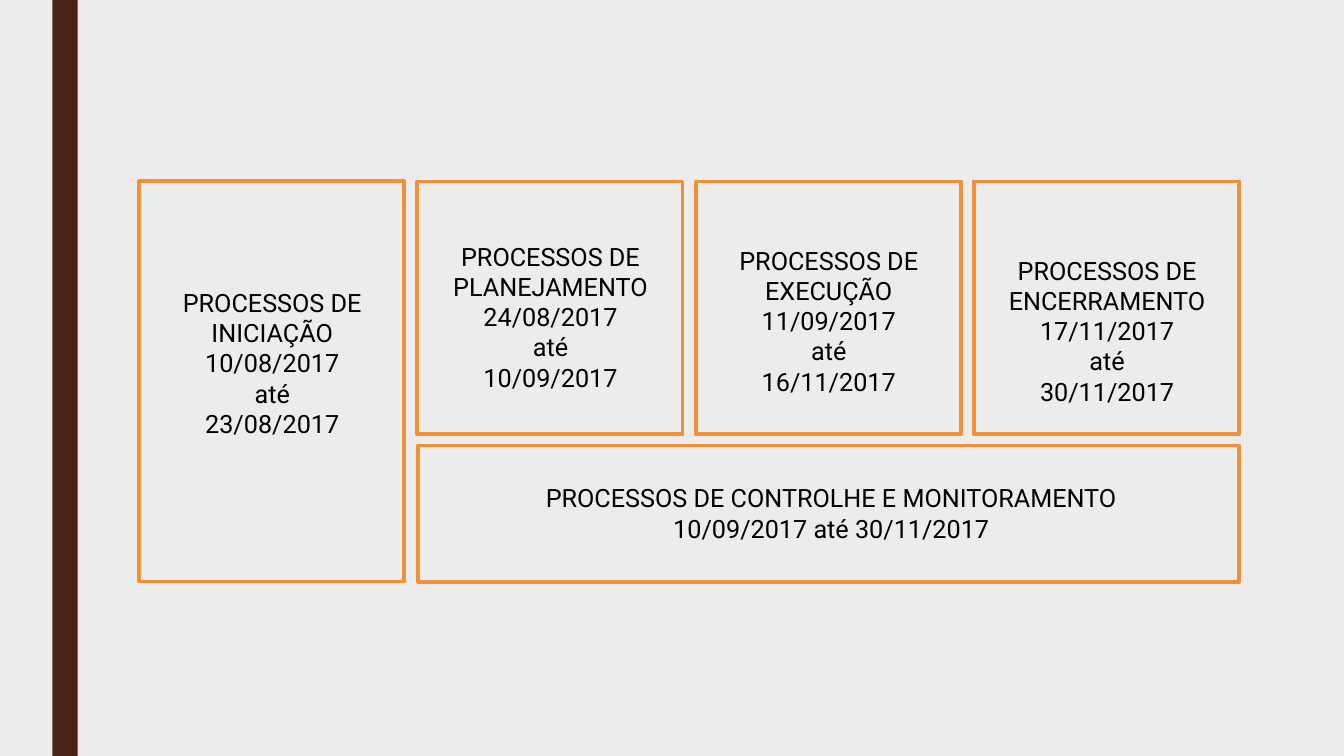
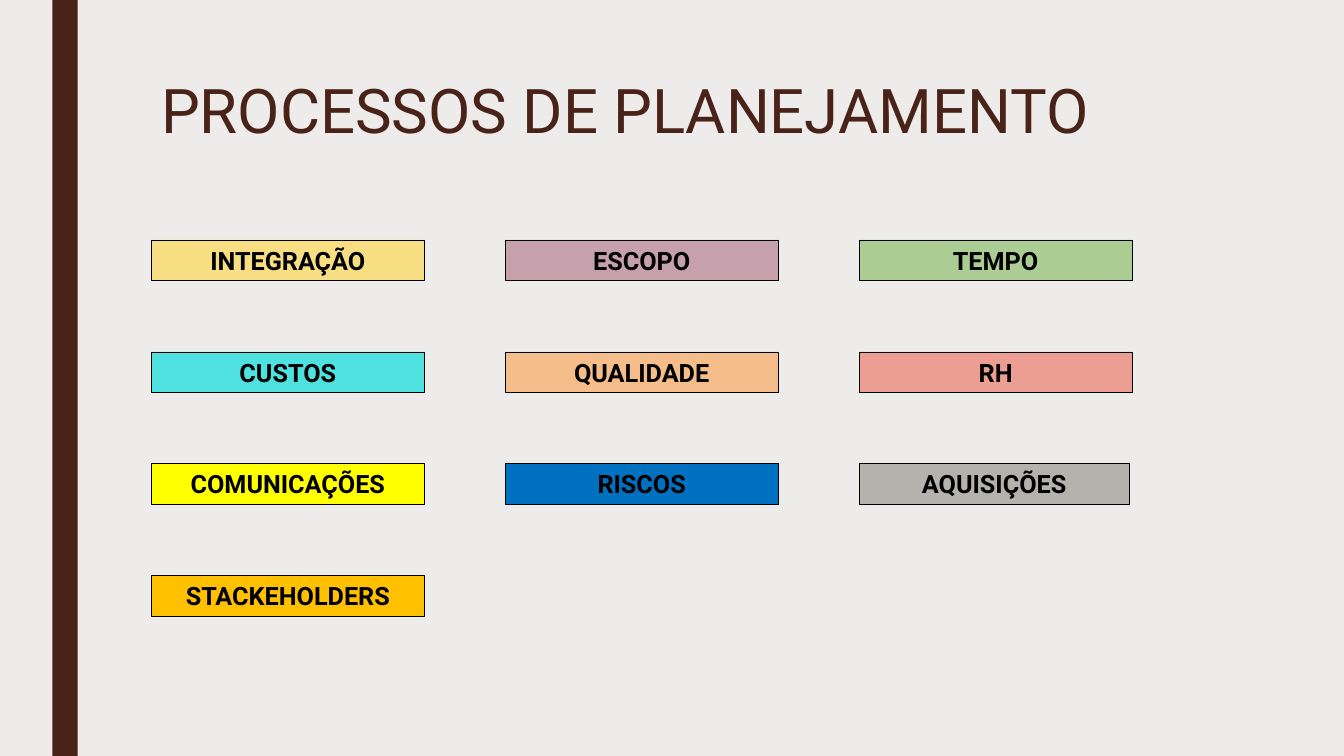
from pptx import Presentation
from pptx.dml.color import RGBColor
from pptx.enum.shapes import MSO_SHAPE
from pptx.enum.text import MSO_ANCHOR, PP_ALIGN
from pptx.util import Inches, Pt

# Shared style
FONT = "Roboto"
BACKGROUND = "EDECEB"
BROWN = "4A2318"
ORANGE = "EE913A"
BLACK = "000000"

# Phase boxes: heading, first day, last day, box height, text top
PHASES = [
    ("PROCESSOS DE INICIAÇÃO", "10/08/2017", "23/08/2017", 3.97, 2.8),
    ("PROCESSOS DE PLANEJAMENTO", "24/08/2017", "10/09/2017", 2.51, 2.34),
    ("PROCESSOS DE EXECUÇÃO", "11/09/2017", "16/11/2017", 2.51, 2.38),
    ("PROCESSOS DE ENCERRAMENTO", "17/11/2017", "30/11/2017", 2.51, 2.48),
]

# Knowledge areas: label, fill, width
AREAS = [
    ("INTEGRAÇÃO", "F8DE82", 2.71),
    ("ESCOPO", "C7A0AD", 2.71),
    ("TEMPO", "ABCD93", 2.71),
    ("CUSTOS", "4EE1E0", 2.71),
    ("QUALIDADE", "F5BD89", 2.71),
    ("RH", "EC9E92", 2.71),
    ("COMUNICAÇÕES", "FFFF00", 2.71),
    ("RISCOS", "0070C0", 2.71),
    ("AQUISIÇÕES", "B5B1AD", 2.68),
    ("STACKEHOLDERS", "FFC000", 2.71),
]
AREA_COLUMNS = 3


def color(hex_value):
    return RGBColor.from_string(hex_value)


def write_text(shape, lines, size=18, font_color=BLACK, bold=False,
               alignment=PP_ALIGN.CENTER, line_spacing=None):
    text_frame = shape.text_frame
    text_frame.word_wrap = True
    text_frame.text = "\n".join(lines)
    for paragraph in text_frame.paragraphs:
        paragraph.alignment = alignment
        paragraph.line_spacing = line_spacing
        for run in paragraph.runs:
            run.font.name = FONT
            run.font.size = Pt(size)
            run.font.bold = bold
            run.font.color.rgb = color(font_color)


def add_text(slide, left, top, width, height, lines, **style):
    text_box = slide.shapes.add_textbox(
        Inches(left), Inches(top), Inches(width), Inches(height))
    write_text(text_box, lines, **style)


def add_rectangle(slide, left, top, width, height,
                  fill=None, line=None, line_width=0.25):
    shape = slide.shapes.add_shape(
        MSO_SHAPE.RECTANGLE,
        Inches(left), Inches(top), Inches(width), Inches(height))
    shape.shadow.inherit = False
    if fill:
        shape.fill.solid()
        shape.fill.fore_color.rgb = color(fill)
    else:
        shape.fill.background()
    if line:
        shape.line.color.rgb = color(line)
        shape.line.width = Pt(line_width)
    else:
        shape.line.fill.background()
    return shape


def add_base_slide(presentation):
    slide = presentation.slides.add_slide(presentation.slide_layouts[6])
    slide.background.fill.solid()
    slide.background.fill.fore_color.rgb = color(BACKGROUND)
    add_rectangle(slide, 0.52, 0, 0.25, 7.5, fill=BROWN)
    return slide


def add_title(slide, title):
    add_text(slide, 1.5, 0.75, 10.5, 1.62, [title], size=44,
             font_color=BROWN, alignment=PP_ALIGN.LEFT, line_spacing=0.89)


def add_frame(slide, left, top, width, height):
    add_rectangle(slide, left, top, width, height,
                  line=ORANGE, line_width=2.75)


def build_phases(presentation):
    slide = add_base_slide(presentation)
    # One framed column per phase
    for index, (heading, start, end, height, text_top) in enumerate(PHASES):
        left = 1.38 + index * 2.76
        add_frame(slide, left, 1.8, 2.63, height)
        add_text(slide, left + 0.01, text_top, 2.62, 1.62,
                 [heading, start, "até", end])
    # Control phase below the last three columns
    add_frame(slide, 4.15, 4.42, 8.14, 1.35)
    add_text(slide, 4.21, 4.74, 8.07, 0.71,
             ["PROCESSOS DE CONTROLHE E MONITORAMENTO",
              "10/09/2017 até 30/11/2017"])


def build_planning(presentation):
    slide = add_base_slide(presentation)
    add_title(slide, "PROCESSOS DE PLANEJAMENTO")
    # Grid of knowledge areas
    for index, (label, fill, width) in enumerate(AREAS):
        row, column = divmod(index, AREA_COLUMNS)
        area = add_rectangle(slide, 1.5 + column * 3.51, 2.38 + row * 1.11,
                             width, 0.4, fill=fill, line=BLACK)
        area.text_frame.vertical_anchor = MSO_ANCHOR.MIDDLE
        write_text(area, [label], bold=True)


def main():
    presentation = Presentation()
    presentation.slide_width = Inches(13.33)
    presentation.slide_height = Inches(7.5)
    build_phases(presentation)
    build_planning(presentation)
    presentation.save("out.pptx")


main()
